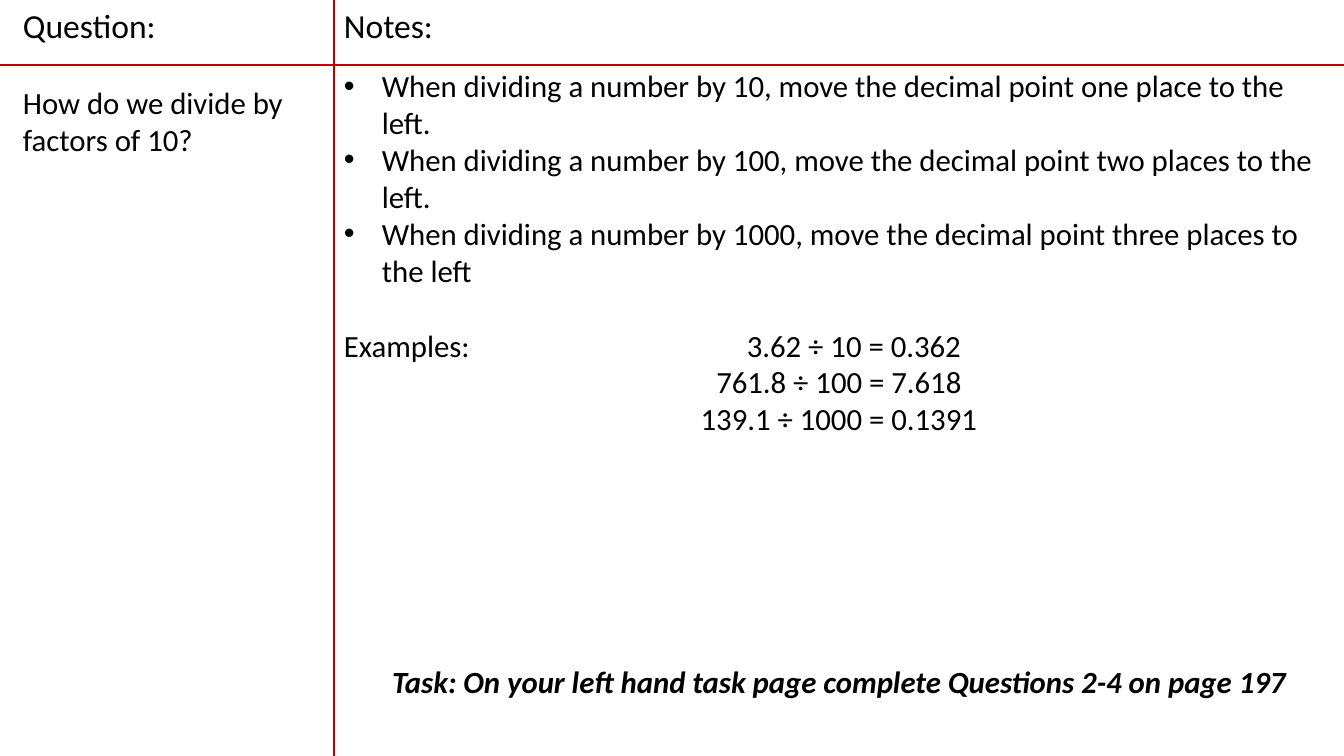
from lxml.etree import SubElement
from pptx import Presentation
from pptx.dml.color import RGBColor
from pptx.enum.shapes import MSO_CONNECTOR
from pptx.enum.text import MSO_AUTO_SIZE, PP_ALIGN
from pptx.oxml.ns import qn
from pptx.util import Pt

EMU_PER_PX = 914400 / 100.8
WIDTH, HEIGHT = 1344, 756
MARGIN_X, DIVIDER_X, HEADER_Y = 13, 334, 65
INDENT, EXAMPLE_TAB = 38, 403
HEADING_SIZE, BODY_SIZE = 24, 22
LINE_HEIGHT = 26.85  # points, one line of body text
FONT = "Calibri"
COLORS = {"rule": "C00000", "text": "000000"}

RULES = [
    "When dividing a number by 10, move the decimal point one place to the left.",
    "When dividing a number by 100, move the decimal point two places to the left.",
    "When dividing a number by 1000, move the decimal point three places to the left",
]
CENTERED_EXAMPLES = ["761.8 ÷ 100 = 7.618", "139.1 ÷ 1000 = 0.1391"]
TASK = "Task: On your left hand task page complete Questions 2-4 on page 197"


def px(length):
    return round(length * EMU_PER_PX)


def add_rule(page, x1, y1, x2, y2):
    rule = page.shapes.add_connector(
        MSO_CONNECTOR.STRAIGHT, px(x1), px(y1), px(x2), px(y2))
    rule.line.color.rgb = RGBColor.from_string(COLORS["rule"])
    rule.line.width = Pt(2)
    SubElement(rule._element.spPr, qn("a:effectLst"))


def add_box(page, x, y, width, height, wrap=True):
    box = page.shapes.add_textbox(px(x), px(y), px(width), px(height))
    box.text_frame.word_wrap = wrap
    box.text_frame.auto_size = MSO_AUTO_SIZE.SHAPE_TO_FIT_TEXT
    return box


def add_bullet(para):
    properties = para._p.get_or_add_pPr()
    properties.set("marL", str(px(INDENT)))
    properties.set("indent", str(-px(INDENT)))
    SubElement(properties, qn("a:buFont"), typeface="Arial")
    SubElement(properties, qn("a:buChar"), char="•")


def add_tab(para, position):
    tabs = SubElement(para._p.get_or_add_pPr(), qn("a:tabLst"))
    SubElement(tabs, qn("a:tab"), pos=str(px(position)), algn="l")


def write_para(box, text, blank_lines=0, align=PP_ALIGN.LEFT, **formats):
    """Write into the empty first paragraph, or append a new one."""
    frame = box.text_frame
    para = frame.add_paragraph() if frame.text else frame.paragraphs[0]
    para.alignment = align
    if blank_lines:
        para.space_before = Pt(blank_lines * LINE_HEIGHT)
    span = para.add_run()
    span.text = text
    values = {"name": FONT, "size": Pt(BODY_SIZE), **formats}
    for name, value in values.items():
        setattr(span.font, name, value)
    span.font.color.rgb = RGBColor.from_string(COLORS["text"])
    return para


def add_heading(page, text, x, width):
    box = add_box(page, x, 0, width, 50, wrap=False)
    write_para(box, text, size=Pt(HEADING_SIZE))


def add_notes(page):
    box = add_box(page, DIVIDER_X, 62, WIDTH - DIVIDER_X, 645)
    for rule in RULES:
        add_bullet(write_para(box, rule))
    # Worked examples
    first = write_para(box, "Examples:\t3.62 ÷ 10 = 0.362", blank_lines=1)
    add_tab(first, EXAMPLE_TAB)
    for example in CENTERED_EXAMPLES:
        write_para(box, example, align=PP_ALIGN.CENTER)
    # Task
    write_para(box, TASK, blank_lines=6, align=PP_ALIGN.CENTER,
               bold=True, italic=True)


def main():
    deck = Presentation()
    deck.slide_width, deck.slide_height = px(WIDTH), px(HEIGHT)
    page = deck.slides.add_slide(deck.slide_layouts[6])

    # Dividing lines
    add_rule(page, DIVIDER_X, 0, DIVIDER_X, HEIGHT)
    add_rule(page, 0, HEADER_Y, WIDTH, HEADER_Y)

    # Column headings
    add_heading(page, "Question:", MARGIN_X, 154)
    add_heading(page, "Notes:", DIVIDER_X, 110)

    # Column contents
    add_notes(page)
    question = add_box(page, MARGIN_X, 79, 303, 122)
    write_para(question, "How do we divide by factors of 10?")

    deck.save("out.pptx")


if __name__ == "__main__":
    main()
